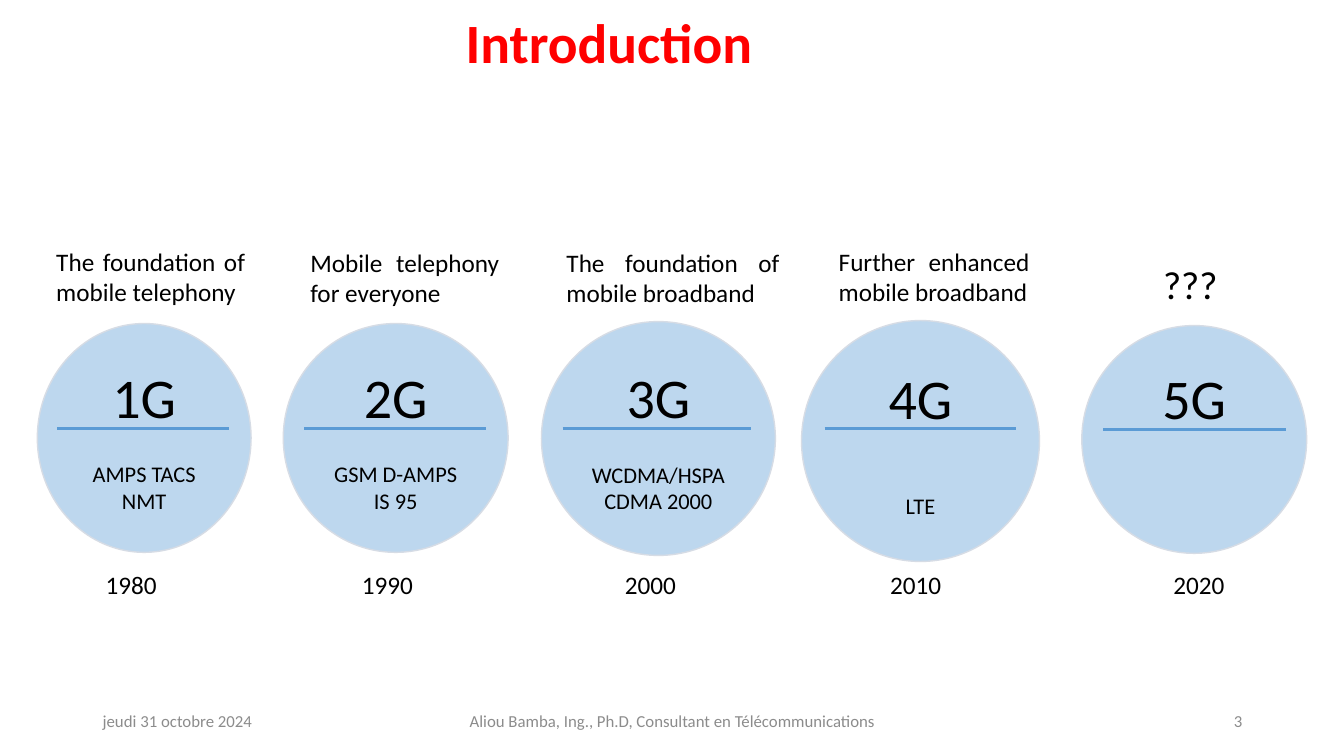
import pptx
import pptx.dml.color
import pptx.enum.shapes
import pptx.enum.text
import pptx.util
from pptx.util import Inches

COLORS = {
    "circle": "BDD7EE",
    "outline": "D6DCE5",
    "rule": "5B9BD5",
    "text": "000000",
    "title": "FF0000",
    "footer": "8C8C8C",
}
ALIGN = pptx.enum.text.PP_ALIGN
ANCHOR = pptx.enum.text.MSO_ANCHOR
BLANK_LINE = 22  # points, height of one 18 pt line


def rgb(name):
    return pptx.dml.color.RGBColor.from_string(COLORS[name])


def write(shape, text, size=18, color="text", bold=False, align=ALIGN.LEFT,
          anchor=ANCHOR.TOP, spacing=None, before=0, more=False):
    """Write the lines of text in a shape; more=True adds them below its text."""
    frame = shape.text_frame
    frame.word_wrap = True
    frame.vertical_anchor = anchor
    for index, line in enumerate(text.split("\n")):
        para = frame.add_paragraph() if more or index else frame.paragraphs[0]
        para.alignment = align
        if spacing:
            para.line_spacing = spacing
        if before and index == 0:
            para.space_before = pptx.util.Pt(before)
        span = para.add_run()
        span.text = line
        span.font.name = "Calibri"
        span.font.size = pptx.util.Pt(size)
        span.font.bold = bold
        span.font.color.rgb = rgb(color)


deck = pptx.Presentation()
deck.slide_width, deck.slide_height = Inches(13.33), Inches(7.5)
slide = deck.slides.add_slide(deck.slide_layouts[6])
shapes = slide.shapes

# Title
box = shapes.add_textbox(Inches(2.04), Inches(0.1), Inches(8), Inches(0.71))
write(box, "Introduction", size=39.6, color="title", bold=True,
      align=ALIGN.CENTER, anchor=ANCHOR.MIDDLE, spacing=0.9)

# Generations: name, standards, blank lines above them, circle box, rule (x1, x2, y)
generations = [
    ("1G", "AMPS TACS\nNMT", 1, (0.37, 3.21, 2.12, 2.27), (0.57, 2.27, 4.25)),
    ("2G", "GSM D-AMPS\nIS 95", 1, (2.81, 3.21, 2.23, 2.27), (3.02, 4.82, 4.25)),
    ("3G", "WCDMA/HSPA CDMA 2000", 1, (5.37, 3.19, 2.32, 2.32), (5.58, 7.45, 4.25)),
    ("4G", "LTE", 2, (7.95, 3.18, 2.36, 2.39), (8.18, 10.08, 4.25)),
    ("5G", "", 0, (10.73, 3.23, 2.23, 2.26), (10.94, 12.75, 4.26)),
]
for name, standards, gap, place, (start, end, level) in generations:
    circle = shapes.add_shape(pptx.enum.shapes.MSO_SHAPE.FLOWCHART_CONNECTOR,
                              *map(Inches, place))
    circle.shadow.inherit = False
    circle.fill.solid()
    circle.fill.fore_color.rgb = rgb("circle")
    circle.line.color.rgb = rgb("outline")
    circle.line.width = pptx.util.Pt(1)
    anchor = ANCHOR.MIDDLE if standards else ANCHOR.TOP
    write(circle, name, size=40, align=ALIGN.CENTER, anchor=anchor)
    if standards:
        write(circle, standards, size=16, align=ALIGN.CENTER, anchor=anchor,
              before=gap * BLANK_LINE, more=True)

    rule = shapes.add_connector(pptx.enum.shapes.MSO_CONNECTOR.STRAIGHT,
                                Inches(start), Inches(level), Inches(end), Inches(level))
    rule.line.color.rgb = rgb("rule")
    rule.line.width = pptx.util.Pt(2.25)
    properties = rule.element.spPr
    properties.append(properties.makeelement(pptx.oxml.ns.qn("a:effectLst"), {}))

# Years below the circles
for index, left in enumerate([0.95, 3.49, 6.1, 8.73, 11.54]):
    box = shapes.add_textbox(Inches(left), Inches(5.6), Inches(0.85), Inches(0.4))
    write(box, str(1980 + 10 * index))

# Captions above the circles
captions = [
    ("The foundation of mobile telephony", 0.46, 2.39, 2.07),
    ("Mobile telephony for everyone", 2.98, 2.4, 2.07),
    ("The foundation of mobile broadband", 5.52, 2.4, 2.31),
    ("Further enhanced mobile broadband", 8.22, 2.39, 2.09),
]
for caption, left, top, width in captions:
    box = shapes.add_textbox(Inches(left), Inches(top), Inches(width), Inches(0.71))
    write(box, caption, align=ALIGN.JUSTIFY)
box = shapes.add_textbox(Inches(10.77), Inches(2.53), Inches(2.07), Inches(0.57))
write(box, "???", size=28, align=ALIGN.CENTER)

# Footer
footers = [
    ("jeudi 31 octobre 2024", 0.92, 3, ALIGN.LEFT),
    ("Aliou Bamba, Ing., Ph.D, Consultant en Télécommunications", 4.42, 4.5, ALIGN.CENTER),
    ("3", 9.42, 3, ALIGN.RIGHT),
]
for footer, left, width, align in footers:
    box = shapes.add_textbox(Inches(left), Inches(6.95), Inches(width), Inches(0.4))
    write(box, footer, size=12, color="footer", align=align, anchor=ANCHOR.MIDDLE)

deck.save("out.pptx")
